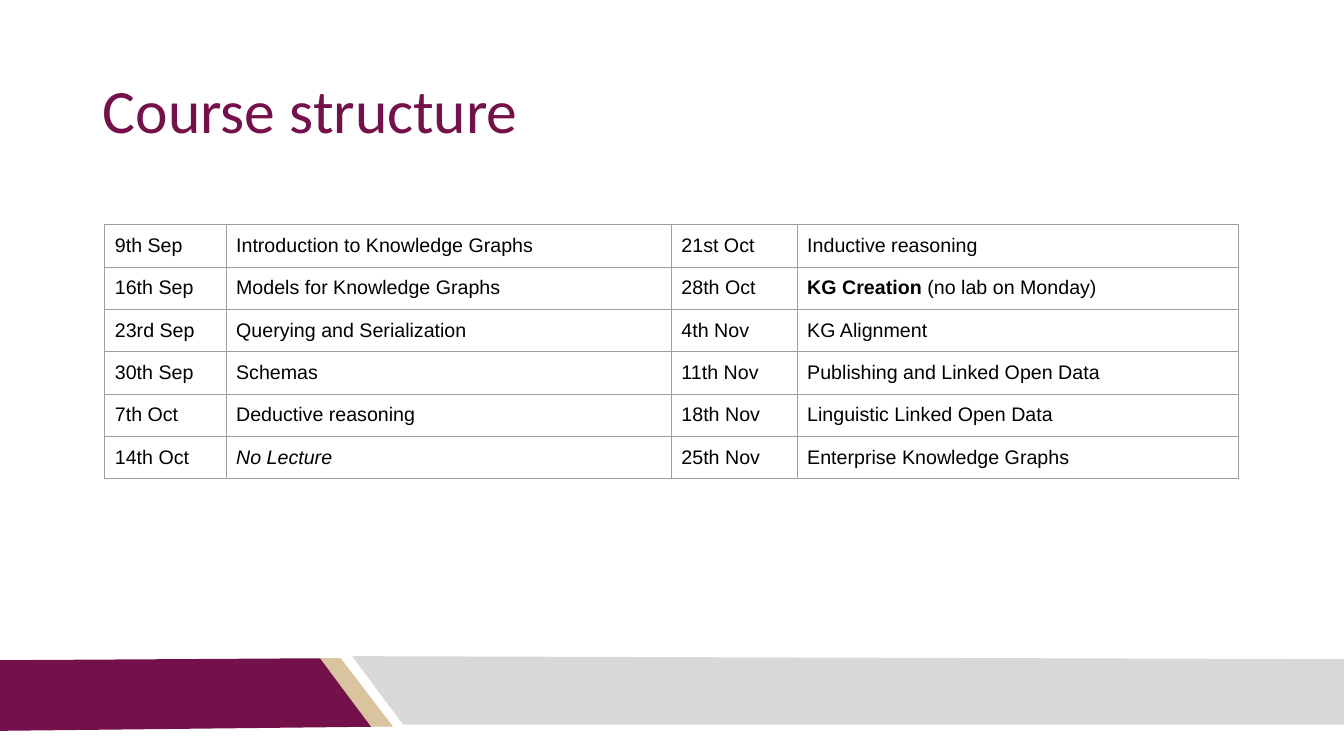
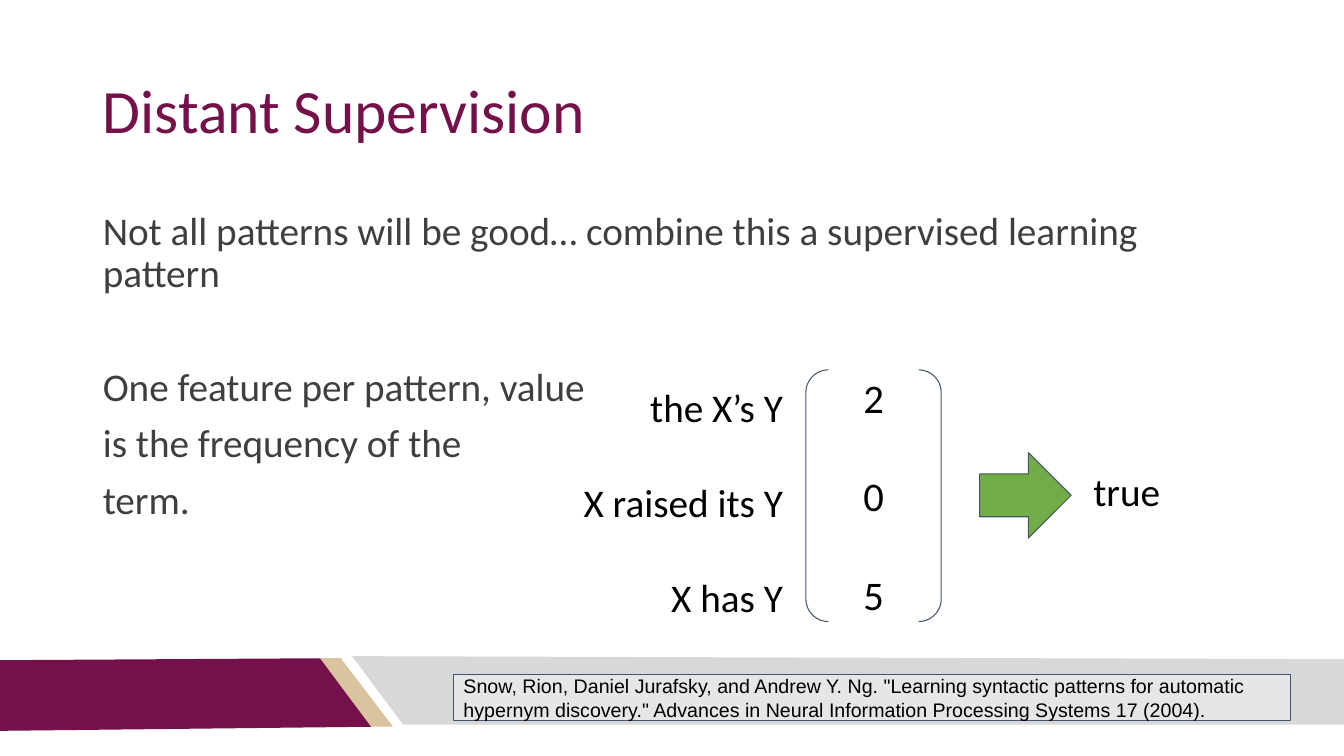
from lxml import etree
from pptx import Presentation, util as u
from pptx.dml.color import RGBColor
from pptx.enum import shapes as sh, text as tx
from pptx.oxml.ns import qn

HUE = {
    "wine": "75114A", "sand": "D9C49F", "band": "D8D8D8", "body": "3F3F3F",
    "ink": "000000", "edge": "44546A", "grid": "9E9E9E", "go": "70AD47",
    "cite": "E7E6E6",
}
PAGE = (0, 0, u.Inches(13.33), u.Inches(7.5))
LEFT, MID, RIGHT = tx.PP_ALIGN.LEFT, tx.PP_ALIGN.CENTER, tx.PP_ALIGN.RIGHT
TOP, HALF = tx.MSO_ANCHOR.TOP, tx.MSO_ANCHOR.MIDDLE
LEAD = 1.22  # line height of Calibri, per point of size

BANDS = [  # corners in percent of the page
    ("sand", [(23.7, 87.07), (25.35, 87.07), (29.25, 96.13), (27.53, 96.13)]),
    ("wine", [(0, 87.33), (23.8, 87.07), (27.6, 96.13), (0, 96.67)]),
    ("band", [(100, 95.87), (30, 95.87), (26.2, 86.8), (100, 87.2)]),
]
WEEKS = [
    ("9th Sep", "Introduction to Knowledge Graphs", "21st Oct", "Inductive reasoning"),
    ("16th Sep", "Models for Knowledge Graphs", "28th Oct",
     [("KG Creation", "bold"), (" (no lab on Monday)", "")]),
    ("23rd Sep", "Querying and Serialization", "4th Nov", "KG Alignment"),
    ("30th Sep", "Schemas", "11th Nov", "Publishing and Linked Open Data"),
    ("7th Oct", "Deductive reasoning", "18th Nov", "Linguistic Linked Open Data"),
    ("14th Oct", [("No Lecture", "italic")], "25th Nov", "Enterprise Knowledge Graphs"),
]
COLS = (10.7, 39.3, 11.1, 38.9)
CITE = ('Snow, Rion, Daniel Jurafsky, and Andrew Y. Ng. "Learning syntactic patterns '
        'for automatic hypernym discovery." Advances in Neural Information '
        'Processing Systems 17 (2004).')


def rgb(name):
    return RGBColor.from_string(HUE[name])


def part(box, x, y, w, h):
    """Return the box that takes these percentages of another box."""
    left, top, wide, high = box
    return (int(left + wide * x / 100), int(top + high * y / 100),
            int(wide * w / 100), int(high * h / 100))


def place(shape, box):
    shape.left, shape.top, shape.width, shape.height = box


def pad(item):
    item.margin_left = item.margin_right = u.Inches(0.1)
    item.margin_top = item.margin_bottom = u.Inches(0.1)


def write(frame, lines, size, hue="ink", face="Calibri", align=LEFT,
          gaps=(), lead=None, anchor=TOP):
    """Fill a frame; gaps are the points before the second and later lines."""
    pad(frame)
    frame.word_wrap = True
    frame.auto_size = tx.MSO_AUTO_SIZE.NONE
    frame.vertical_anchor = anchor
    for i, line in enumerate(lines):
        para = frame.paragraphs[0] if i == 0 else frame.add_paragraph()
        for words, style in [(line, "")] if isinstance(line, str) else line:
            run = para.add_run()
            run.text = words
            if style:
                setattr(run.font, style, True)
        para.alignment = align
        para.space_before = u.Pt(gaps[i - 1] if i and gaps else 0)
        if lead:
            para.line_spacing = lead
        font = para.font
        font.size, font.name, font.color.rgb = u.Pt(size), face, rgb(hue)


def paint(shape, fill=None, edge="edge"):
    shape.shadow.inherit = False
    if fill:
        shape.fill.solid()
        shape.fill.fore_color.rgb = rgb(fill)
    else:
        shape.fill.background()
    if edge:
        shape.line.color.rgb = rgb(edge)
        shape.line.width = u.Pt(0.75)
    else:
        shape.line.fill.background()


def draw(slide, kind, box, fill=None):
    shape = slide.shapes.add_shape(kind, *box)
    paint(shape, fill)
    return shape


def brand(prs, slide):
    """Draw the bands and hand them to the master, for every slide."""
    for i, (hue, dots) in enumerate(BANDS):
        spots = [part(PAGE, x, y, 0, 0)[:2] for x, y in dots]
        pen = slide.shapes.build_freeform(*spots[0], scale=1.0)
        pen.add_line_segments(spots[1:], close=True)
        band = pen.convert_to_shape()
        paint(band, hue, None)
        band.element.nvSpPr.cNvPr.set("id", str(20 + i))
        prs.slide_master.shapes.element.append(band.element)


def start(prs, layout, title):
    slide = prs.slides.add_slide(prs.slide_layouts[layout])
    head = slide.shapes.title
    place(head, part(PAGE, 6.9, 5.33, 86.25, 19.33))
    write(head.text_frame, [title], 44, "wine", lead=0.9, anchor=HALF)
    return slide


def rule(cell):
    """Give a cell its four thin borders."""
    props = cell._tc.get_or_add_tcPr()
    for side in ("lnL", "lnR", "lnT", "lnB"):
        line = etree.SubElement(props, qn("a:" + side), w=str(u.Pt(0.75)))
        fill = etree.SubElement(line, qn("a:solidFill"))
        etree.SubElement(fill, qn("a:srgbClr"), val=HUE["grid"])


def plan(slide, box):
    table = slide.shapes.add_table(len(WEEKS), len(COLS), *box).table
    table.first_row = table.horz_banding = False
    for col, share in zip(table.columns, COLS):
        col.width = int(box[2] * share / 100)
    for r, week in enumerate(WEEKS):
        table.rows[r].height = box[3] // len(WEEKS)
        for c, entry in enumerate(week):
            cell = table.cell(r, c)
            rule(cell)
            cell.fill.background()
            write(cell.text_frame, [entry], 14, face="Arial")
            pad(cell)


def points(slide, box):
    body = slide.placeholders[1]
    place(body, box)
    frame = body.text_frame
    write(frame, ["Not all patterns will be good… combine this a supervised learning pattern",
                  "One feature per pattern, value", "is the frequency of the", "term."],
          28, "body", gaps=(50.7, 10, 10), lead=0.9)
    for para in frame.paragraphs:
        props = para._p.get_or_add_pPr()
        props.set("marL", "0")
        props.set("indent", "0")
        mark = etree.Element(qn("a:buNone"))
        props.insert_element_before(mark, "a:tabLst", "a:defRPr", "a:extLst")


def vector(slide, box):
    """Show pattern names, their counts in brackets, and the outcome."""
    def label(spot, lines, **style):
        text = slide.shapes.add_textbox(*part(box, *spot))
        write(text.text_frame, lines, 28, **style)

    pair = draw(slide, sh.MSO_SHAPE.DOUBLE_BRACKET, part(box, 32.8, 0, 17.6, 96.5))
    write(pair.text_frame, ["2", "0", "5"], 29, align=MID,
          gaps=[29 * LEAD] * 2, anchor=HALF)
    label((0, 1.2, 31.1, 98.8), ["the X’s Y", "X raised its Y", "X has Y"],
          align=RIGHT, gaps=[28 * LEAD] * 2)
    draw(slide, sh.MSO_SHAPE.RIGHT_ARROW, part(box, 55.4, 31.7, 11.9, 32.8), "go")
    label((68.9, 33.6, 31.1, 25.9), ["true"])


def source(slide, box):
    note = draw(slide, sh.MSO_SHAPE.RECTANGLE, box, "cite")
    write(note.text_frame, [CITE], 14, face="Arial", anchor=HALF)


def main():
    prs = Presentation()
    prs.slide_width, prs.slide_height = PAGE[2:]

    slide = start(prs, 5, "Course structure")
    brand(prs, slide)
    plan(slide, part(PAGE, 7.8, 29.73, 84.32, 33.6))

    slide = start(prs, 1, "Distant Supervision")
    points(slide, part(PAGE, 6.9, 26.67, 86.25, 55.6))
    vector(slide, part(PAGE, 41.2, 48.93, 57.2, 34.5))
    source(slide, part(PAGE, 33.75, 89.2, 62.3, 6.13))

    prs.save("out.pptx")


if __name__ == "__main__":
    main()
